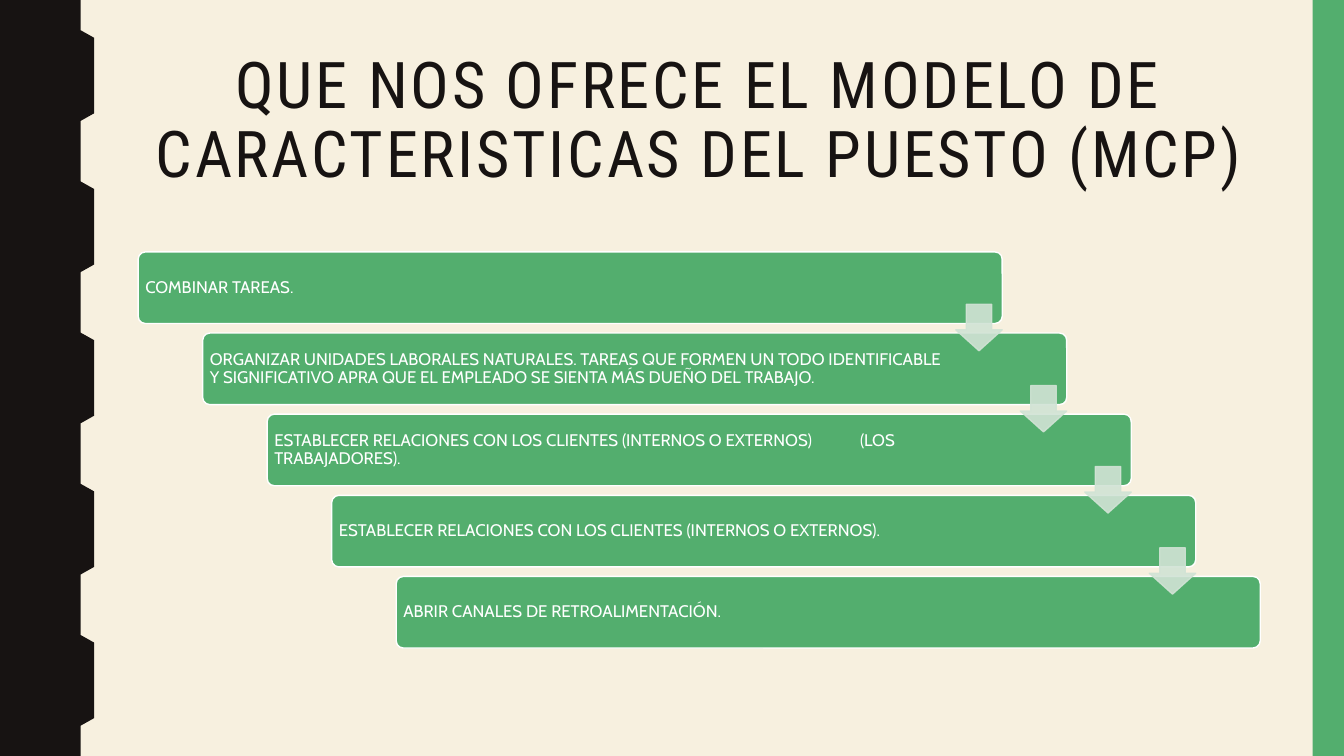
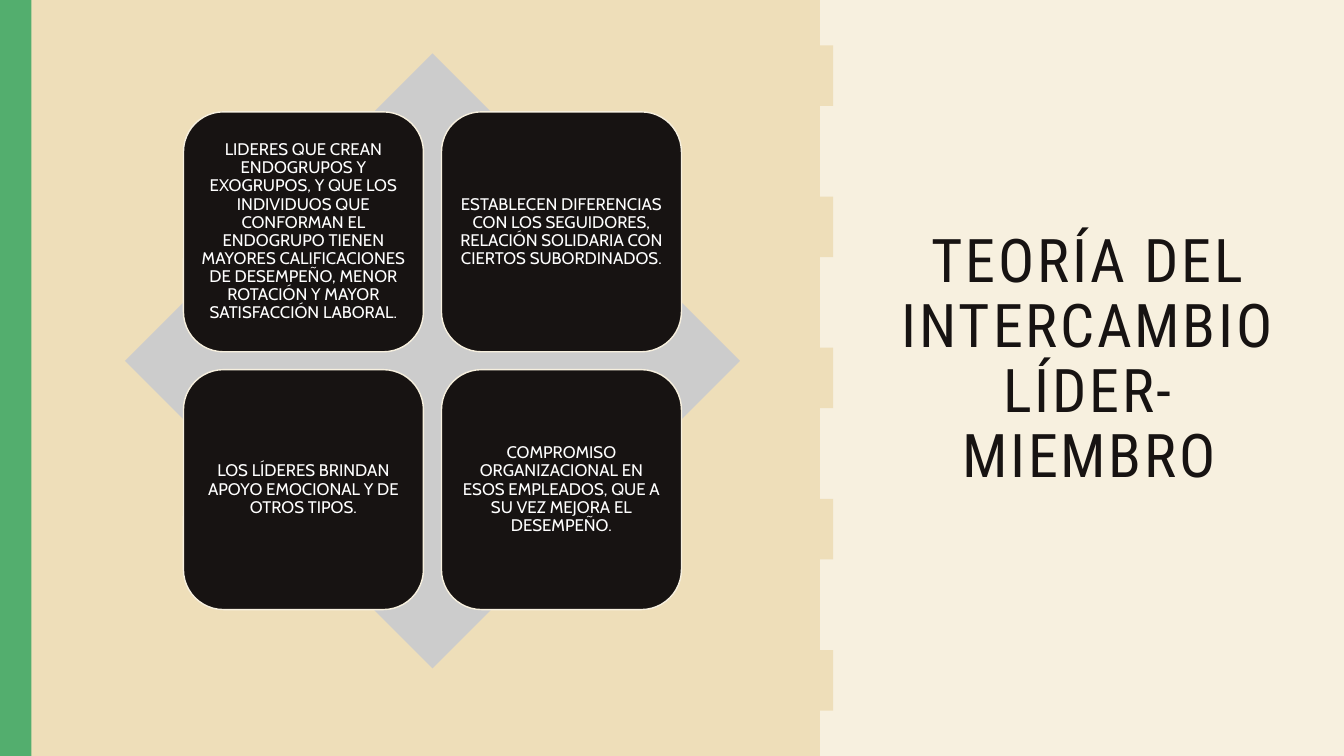
from lxml import etree
from pptx import Presentation
from pptx import util as u
from pptx.dml import color
from pptx.enum import shapes, text
from pptx.oxml import ns

INK, GREEN, CREAM, SAND = "171312", "53AE6E", "F7F0DF", "EEDEB9"
WHITE, GREY, MINT = "FFFFFF", "CCCCCC", "D1E3D5"
HEADING, BODY = "Roboto Condensed", "Cabin"
KIND = shapes.MSO_SHAPE

deck = Presentation()
deck.slide_width, deck.slide_height = u.Inches(13.33), u.Inches(7.5)
COL = deck.slide_width / 100  # one percent of the width
ROW = deck.slide_height / 100  # one percent of the height


def tint(fill, hex_code):
    fill.solid()
    fill.fore_color.rgb = color.RGBColor.from_string(hex_code)


def write(shape, words, size=12, font=BODY, ink=WHITE, align=text.PP_ALIGN.LEFT,
          anchor=text.MSO_ANCHOR.MIDDLE, inset=0.05, right=None, tracking=0, tab=None):
    frame = shape.text_frame
    frame.word_wrap = True
    frame.vertical_anchor = anchor
    frame.margin_left = frame.margin_top = frame.margin_bottom = u.Inches(inset)
    frame.margin_right = u.Inches(inset if right is None else right)
    paragraph = frame.paragraphs[0]
    paragraph.alignment = align
    paragraph.line_spacing = 0.9
    if tab:
        stops = etree.SubElement(paragraph._p.get_or_add_pPr(), ns.qn("a:tabLst"))
        etree.SubElement(stops, ns.qn("a:tab"), pos=str(u.Inches(tab)), algn="l")
    run = paragraph.add_run()
    run.text = words
    run.font.size, run.font.name = u.Pt(size), font
    tint(run.font.fill, ink)
    if tracking:
        run._r.get_or_add_rPr().set("spc", str(tracking * 100))


# Shared frame: background, wavy edge, green band and title
# Half a wave as (height, depth), both in shares of one full wave
rise = [(0, 0), (0.05, 0.02), (0.09, 0.06), (0.13, 0.11), (0.17, 0.18), (0.19, 0.26),
        (0.22, 0.37), (0.25, 0.48), (0.28, 0.58), (0.31, 0.69), (0.33, 0.79),
        (0.37, 0.88), (0.41, 0.94), (0.45, 0.98), (0.5, 1)]
wave = rise + [(1 - y, x) for y, x in reversed(rise[:-1])]
WAVES, DEPTH, BAND = 5, 1.46, 2.33

frames = [
    ("QUE NOS OFRECE EL MODELO DE CARACTERISTICAS DEL PUESTO (MCP)", 46,
     (10.28, 5.6, 83.5, 21.73), text.MSO_ANCHOR.TOP, 5.85, INK, 100 - BAND),
    ("TEORÍA DEL INTERCAMBIO LÍDER-MIEMBRO", 43,
     (66.02, 7.07, 30, 81.2), text.MSO_ANCHOR.MIDDLE, 60.62, SAND, 0),
]
for words, size, (x, y, w, h), anchor, edge, edge_color, band_left in frames:
    slide = deck.slides.add_slide(deck.slide_layouts[6])
    tint(slide.background.fill, CREAM)

    outline = slide.shapes.build_freeform(0, 0, scale=(COL, ROW))
    outline.add_line_segments(
        [(edge + DEPTH * depth, (n + share) * 100 / WAVES)
         for n in range(WAVES) for share, depth in wave] + [(0, 100)])
    wavy_side = outline.convert_to_shape()
    band = slide.shapes.add_shape(
        KIND.RECTANGLE, int(band_left * COL), 0, int(BAND * COL), deck.slide_height)
    for part, part_color in ((wavy_side, edge_color), (band, GREEN)):
        tint(part.fill, part_color)
        part.line.fill.background()

    title = slide.shapes.add_textbox(int(x * COL), int(y * ROW), int(w * COL), int(h * ROW))
    write(title, words, size=size, font=HEADING, ink=INK, align=text.PP_ALIGN.CENTER,
          anchor=anchor, inset=0.1, tracking=2)

model, theory = deck.slides

# Staircase of steps
steps = [
    "COMBINAR TAREAS.",
    "ORGANIZAR UNIDADES LABORALES NATURALES. TAREAS QUE FORMEN UN TODO IDENTIFICABLE "
    "Y SIGNIFICATIVO APRA QUE EL EMPLEADO SE SIENTA MÁS DUEÑO DEL TRABAJO.",
    "ESTABLECER RELACIONES CON LOS CLIENTES (INTERNOS O EXTERNOS)\t(LOS TRABAJADORES).",
    "ESTABLECER RELACIONES CON LOS CLIENTES (INTERNOS O EXTERNOS).",
    "ABRIR CANALES DE RETROALIMENTACIÓN.",
]
STEP_LEFT, STEP_TOP, STEP_WIDTH, STEP_HEIGHT = 10.28, 33.33, 64.29, 9.47
SHIFT, DROP = 4.8, 10.73
for n, words in enumerate(steps):
    step = model.shapes.add_shape(
        KIND.ROUNDED_RECTANGLE, int((STEP_LEFT + n * SHIFT) * COL),
        int((STEP_TOP + n * DROP) * ROW), int(STEP_WIDTH * COL), int(STEP_HEIGHT * ROW))
    step.adjustments[0] = 0.1
    tint(step.fill, GREEN)
    tint(step.line.fill, WHITE)
    step.line.width = u.Pt(1)
    write(step, words, right=1.15, tab=5.81 if "\t" in words else None)

# Arrows from each step to the next
ARROW = u.Inches(0.46)
for n in range(len(steps) - 1):
    arrow = model.shapes.add_shape(
        KIND.DOWN_ARROW, int((STEP_LEFT + STEP_WIDTH + n * SHIFT) * COL) - ARROW,
        int((40.27 + n * DROP) * ROW), ARROW, ARROW)
    arrow.adjustments[0], arrow.adjustments[1] = 0.55, 0.45
    tint(arrow.fill, MINT)
    tint(arrow.line.fill, MINT)
    arrow.line.width = u.Pt(1)
    for paint in arrow._element.spPr.iter(ns.qn("a:srgbClr")):
        etree.SubElement(paint, ns.qn("a:alpha"), val="90000")

# Diamond with four ideas on a two by two grid
diamond = theory.shapes.add_shape(
    KIND.DIAMOND, int(9.3 * COL), int(7.07 * ROW), u.Inches(6.1), u.Inches(6.1))
tint(diamond.fill, GREY)
diamond.line.fill.background()

ideas = [
    "LIDERES QUE CREAN ENDOGRUPOS Y EXOGRUPOS, Y QUE LOS INDIVIDUOS QUE CONFORMAN EL "
    "ENDOGRUPO TIENEN MAYORES CALIFICACIONES DE DESEMPEÑO, MENOR ROTACIÓN Y MAYOR "
    "SATISFACCIÓN LABORAL.",
    "ESTABLECEN DIFERENCIAS CON LOS SEGUIDORES, RELACIÓN SOLIDARIA CON CIERTOS "
    "SUBORDINADOS.",
    "LOS LÍDERES BRINDAN APOYO EMOCIONAL Y DE OTROS TIPOS.",
    "COMPROMISO ORGANIZACIONAL EN ESOS EMPLEADOS, QUE A SU VEZ MEJORA EL DESEMPEÑO.",
]
TILE = u.Inches(2.38)
for n, words in enumerate(ideas):
    row, column = divmod(n, 2)
    tile = theory.shapes.add_shape(
        KIND.ROUNDED_RECTANGLE, int((13.65 + column * 19.2) * COL),
        int((14.8 + row * 34.1) * ROW), TILE, TILE)
    tint(tile.fill, INK)
    tint(tile.line.fill, CREAM)
    tile.line.width = u.Pt(1)
    write(tile, words, align=text.PP_ALIGN.CENTER)

# Flat look throughout
for slide in deck.slides:
    for part in slide.shapes:
        part.shadow.inherit = False

deck.save("out.pptx")
